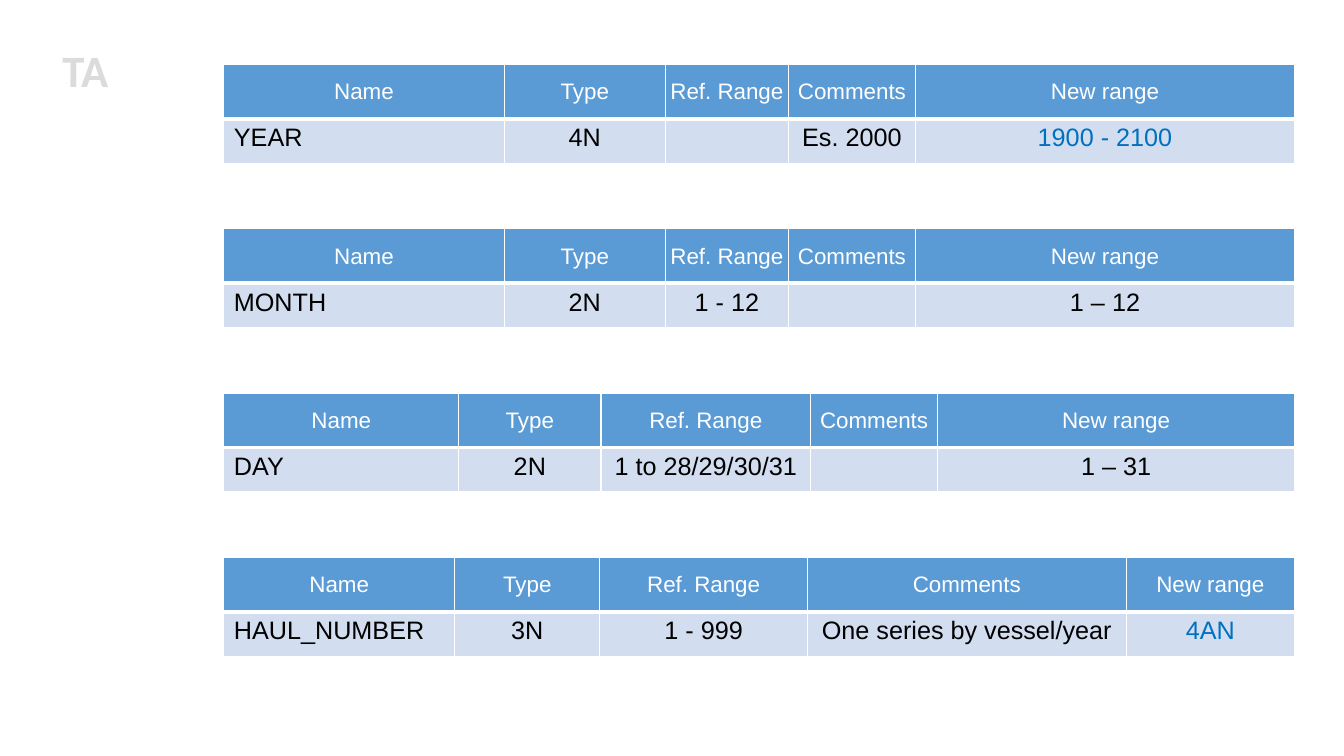
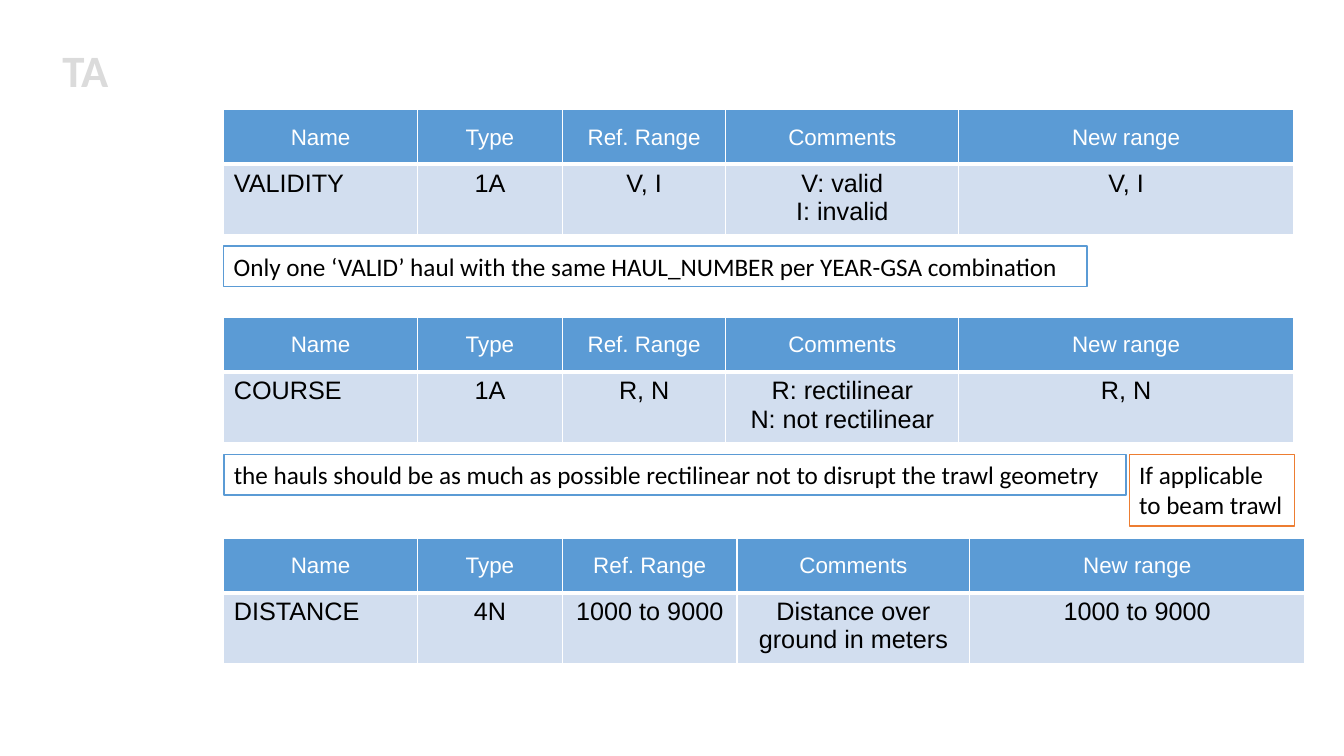
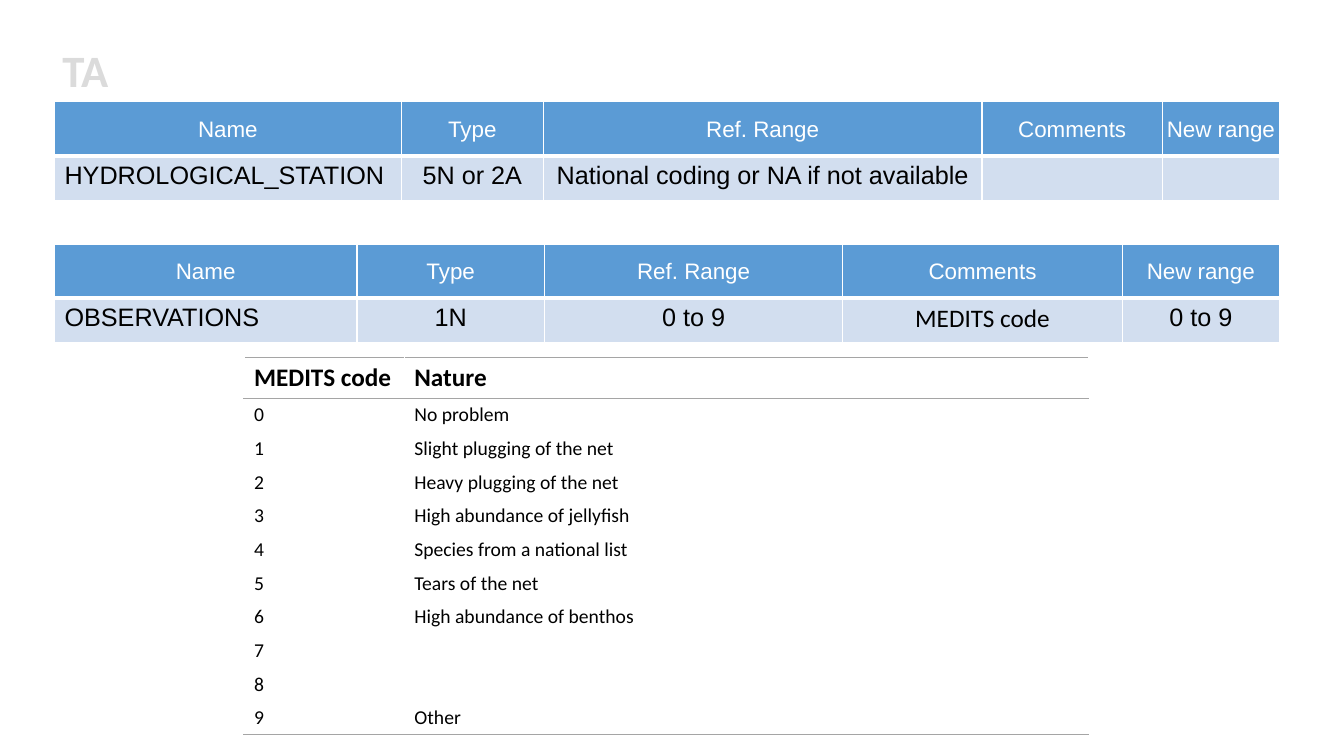
from dataclasses import dataclass

from lxml.etree import SubElement as Sub, Element
from pptx import Presentation
from pptx.dml.color import RGBColor as RGB
from pptx.enum.dml import MSO_PATTERN as Pat
from pptx.enum.shapes import MSO_SHAPE as Kind
from pptx.enum.text import MSO_ANCHOR as Anchor, MSO_AUTO_SIZE as Auto, PP_ALIGN as Align
from pptx.oxml.ns import qn
from pptx.util import Inches, Pt


@dataclass(frozen=True)
class Theme:
    sans: str = "Arial"
    note: str = "Calibri"
    black: str = "000000"
    white: str = "FFFFFF"
    head: str = "5B9BD5"
    body: str = "D2DEEF"
    new: str = "0070C0"
    warn: str = "ED7D31"
    rule: str = "A5A5A5"
    pale: str = "DBDBDB"
    edge: str = "525252"
    title: int = 32
    text: int = 18
    label: int = 16
    small: int = 14


T = Theme()
HEADS = ["Name", "Type", "Ref. Range", "Comments", "New range"]
HEAD, LOW, TALL = 0.54, 0.44, 0.7
LEFT = 2.22
NATURE = ["No problem", "Slight plugging of the net", "Heavy plugging of the net",
          "High abundance of jellyfish", "Species from a national list",
          "Tears of the net", "High abundance of benthos", "", "", "Other"]


def rgb(code):
    return RGB.from_string(code)


def style(frame, size, font=T.sans, color=T.black, bold=False, align=Align.LEFT):
    for para in frame.paragraphs:
        para.alignment = align
        for run in para.runs:
            run.font.size = Pt(size)
            run.font.name = font
            run.font.bold = bold
            run.font.color.rgb = rgb(color)
        if not para.runs:
            Sub(para._p, qn("a:endParaRPr"), sz=str(size * 100))


def border(cell, **widths):
    props = cell._tc.get_or_add_tcPr()
    for side in "LRTB":
        if side in widths:
            width, color = widths[side]
            line = Sub(props, qn("a:ln" + side), w=str(Pt(width)))
            Sub(Sub(line, qn("a:solidFill")), qn("a:srgbClr"), val=color)


def grid(slide, left, top, cols, rows):
    frame = slide.shapes.add_table(len(rows), len(cols), Inches(left), Inches(top),
                                   Inches(sum(cols)), Inches(sum(rows)))
    table = frame.table
    table.horz_banding = False
    for col, width in zip(table.columns, cols):
        col.width = Inches(width)
    for row, height in zip(table.rows, rows):
        row.height = Inches(height)
    return table


def field(slide, left, top, cols, vals, body=LOW, color=T.black, fonts=()):
    table = grid(slide, left, top, cols, [HEAD, body])
    thin, thick = (1, T.white), (3, T.white)
    fonts = dict(fonts)
    for i, (name, val) in enumerate(zip(HEADS, vals)):
        cell = table.cell(0, i)
        border(cell, L=thin, R=thin, T=thin, B=thick)
        cell.fill.solid()
        cell.fill.fore_color.rgb = rgb(T.head)
        cell.vertical_anchor = Anchor.MIDDLE
        cell.margin_left = cell.margin_right = cell.margin_top = Inches(0.01)
        cell.margin_bottom = 0
        cell.text_frame.text = name
        style(cell.text_frame, T.label, color=T.white, align=Align.CENTER)

        cell = table.cell(1, i)
        border(cell, L=thin, R=thin, T=thick, B=thin)
        cell.fill.solid()
        cell.fill.fore_color.rgb = rgb(T.body)
        cell.text_frame.text = val
        style(cell.text_frame, T.text, fonts.get(i, T.sans),
              color if i == len(HEADS) - 1 else T.black,
              align=Align.CENTER if i else Align.LEFT)


def codes(slide, left, top):
    rows = [("MEDITS code", "Nature")]
    rows += [(str(i), text) for i, text in enumerate(NATURE)]
    table = grid(slide, left, top, [1.59, 6.79], [0.4] + [0.33] * len(NATURE))
    table.first_row = False
    line = (1, T.rule)
    for r, row in enumerate(rows):
        for c, text in enumerate(row):
            cell = table.cell(r, c)
            if r == 0:
                border(cell, T=line, B=line)
            elif r == 1:
                border(cell, T=line)
            elif r == len(NATURE):
                border(cell, B=line)
            cell.fill.background()
            cell.text_frame.text = text
            style(cell.text_frame, T.small if r else T.text, T.note, bold=r == 0)


def note(slide, left, top, width, height, text, color=T.head):
    box = slide.shapes.add_shape(Kind.RECTANGLE, Inches(left), Inches(top),
                                 Inches(width), Inches(height))
    box.shadow.inherit = False
    box.fill.solid()
    box.fill.fore_color.rgb = rgb(T.white)
    box.line.color.rgb = rgb(color)
    box.line.width = Pt(1)
    frame = box.text_frame
    frame.word_wrap = False
    frame.auto_size = Auto.SHAPE_TO_FIT_TEXT
    frame.vertical_anchor = Anchor.TOP
    frame.text = text
    style(frame, T.text, T.note)


def page(deck):
    slide = deck.slides.add_slide(deck.slide_layouts[6])
    box = slide.shapes.add_textbox(Inches(0.52), Inches(0.37), Inches(0.88), Inches(0.64))
    frame = box.text_frame
    frame.word_wrap = True
    frame.auto_size = Auto.SHAPE_TO_FIT_TEXT
    frame.text = "TA"
    style(frame, T.title, T.note, T.pale, True)
    font = frame.paragraphs[0].runs[0].font
    font.fill.patterned()
    font.fill.pattern = Pat.NARROW_HORIZONTAL
    font.fill.fore_color.rgb = rgb(T.rule)
    font.fill.back_color.rgb = rgb(T.pale)
    line = Element(qn("a:ln"), w=str(Pt(1)))
    Sub(Sub(line, qn("a:solidFill")), qn("a:srgbClr"), val=T.edge)
    font._element.insert(0, line)
    return slide


def dates(deck):
    slide = page(deck)
    wide = [2.78, 1.6, 1.22, 1.26, 3.76]
    items = [
        (wide, ["YEAR", "4N", "", "Es. 2000", "1900 - 2100"], T.new),
        (wide, ["MONTH", "2N", "1 - 12", "", "1 – 12"], T.black),
        ([2.33, 1.41, 2.08, 1.26, 3.54],
         ["DAY", "2N", "1 to 28/29/30/31", "", "1 – 31"], T.black),
        ([2.29, 1.44, 2.06, 3.16, 1.67],
         ["HAUL_NUMBER", "3N", "1 - 999", "One series by vessel/year", "4AN"], T.new),
    ]
    for i, (cols, vals, color) in enumerate(items):
        field(slide, LEFT, 0.64 + 1.63 * i, cols, vals, color=color)


def hauls(deck):
    slide = page(deck)
    items = [
        (1.09, 1.62, ["VALIDITY", "1A", "V, I", "V: valid\nI: invalid", "V, I"]),
        (3.15, 1.62, ["COURSE", "1A", "R, N", "R: rectilinear\nN: not rectilinear", "R, N"]),
        (5.34, 1.73, ["DISTANCE", "4N", "1000 to 9000", "Distance over ground in meters",
                      "1000 to 9000"]),
    ]
    for top, ref, vals in items:
        field(slide, LEFT, top, [1.92, 1.44, ref, 2.31, 3.32], vals, TALL)
    note(slide, LEFT, 2.44, 8.56, 0.4,
         "Only one ‘VALID’ haul with the same HAUL_NUMBER per YEAR-GSA combination")
    note(slide, LEFT, 4.51, 8.95, 0.4,
         "the hauls should be as much as possible rectilinear not to disrupt the trawl geometry")
    note(slide, 11.2, 4.51, 1.64, 0.71, "If applicable\nto beam trawl", T.warn)


def station(deck):
    slide = page(deck)
    field(slide, 0.54, 1.01, [3.44, 1.41, 4.35, 1.79, 1.16],
          ["HYDROLOGICAL_STATION", "5N or 2A", "National coding or NA if not available", "", ""])
    field(slide, 0.54, 2.42, [3, 1.86, 2.96, 2.77, 1.56],
          ["OBSERVATIONS", "1N", "0 to 9", "MEDITS code", "0 to 9"], fonts={3: T.note})
    codes(slide, 2.42, 3.55)


def main():
    deck = Presentation()
    deck.slide_width = Inches(13.33)
    deck.slide_height = Inches(7.5)
    for build in (dates, hauls, station):
        build(deck)
    deck.save("out.pptx")


if __name__ == "__main__":
    main()
